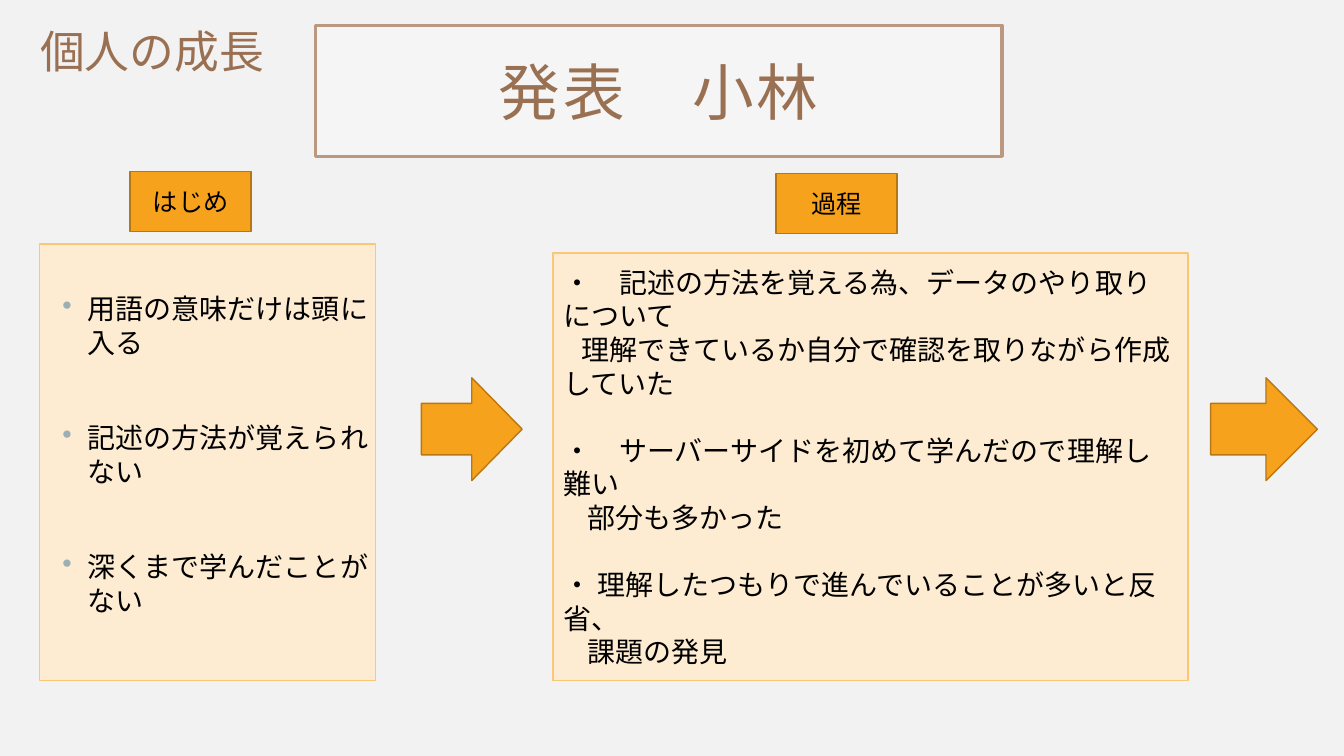
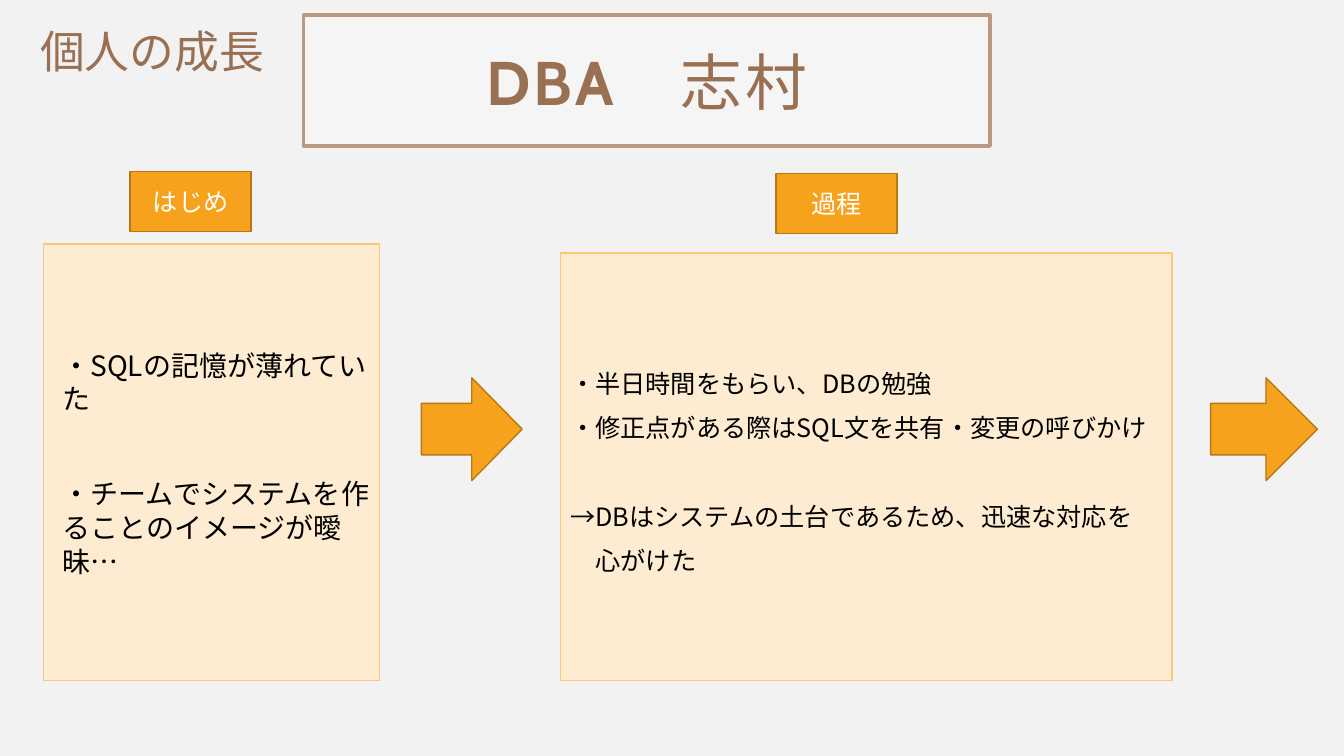
from pptx import Presentation
from pptx.dml.color import RGBColor
from pptx.enum.lang import MSO_LANGUAGE_ID
from pptx.enum.shapes import MSO_SHAPE
from pptx.enum.text import MSO_ANCHOR, MSO_AUTO_SIZE, PP_ALIGN
from pptx.oxml.ns import qn
from pptx.util import Cm, Pt
from lxml.etree import SubElement

PAPER = RGBColor(0xF2, 0xF2, 0xF2)
WHITE = RGBColor(0xFF, 0xFF, 0xFF)
BLACK = RGBColor(0x00, 0x00, 0x00)
BROWN = RGBColor(0x9A, 0x70, 0x53)
FRAME = RGBColor(0xBB, 0x99, 0x81)
CREAM = RGBColor(0xFD, 0xEC, 0xD2)
SAND = RGBColor(0xFA, 0xC7, 0x77)
AMBER = RGBColor(0xF6, 0xA2, 0x1D)
RUST = RGBColor(0xB6, 0x78, 0x15)
DOT = "9BAFB5"
HEAD = "Cabin"
BODY = "Noto Sans CJK JP"
LEAD = 1.2


def add_run(para, text, size, color, face=BODY, bold=False):
    run = para.add_run()
    run.text = text
    font = run.font
    font.name = face
    font.size = Pt(size)
    font.bold = bold
    font.color.rgb = color
    font.language_id = MSO_LANGUAGE_ID.JAPANESE
    props = run._r.get_or_add_rPr()
    east = SubElement(props, qn("a:ea"))
    east.set("typeface", BODY)
    return props


def set_para(para, size, gap=0, indent=0, align=PP_ALIGN.LEFT):
    para.alignment = align
    para.line_spacing = Pt(size * LEAD)
    para.space_before = Pt(gap)
    if indent:
        para._p.get_or_add_pPr().set("indent", str(Cm(indent)))


def add_dot(para):
    props = para._p.get_or_add_pPr()
    props.set("marL", str(Cm(0.64)))
    props.set("indent", str(Cm(-0.64)))
    tint = SubElement(props, qn("a:buClr"))
    SubElement(tint, qn("a:srgbClr")).set("val", DOT)
    SubElement(props, qn("a:buChar")).set("char", "•")


def fill_text(frame, rows, size, color=BLACK, face=BODY, dots=False,
              align=PP_ALIGN.LEFT, anchor=MSO_ANCHOR.MIDDLE):
    frame.word_wrap = True
    frame.vertical_anchor = anchor
    for index, (text, gap, indent) in enumerate(rows):
        para = frame.add_paragraph() if index else frame.paragraphs[0]
        if dots:
            add_dot(para)
        set_para(para, size, gap, indent, align)
        add_run(para, text, size, color, face)


def add_text(slide, area, rows, size, **style):
    box = slide.shapes.add_textbox(*map(Cm, area))
    fill_text(box.text_frame, rows, size, **style)


def add_form(slide, kind, area, fill, line):
    form = slide.shapes.add_shape(kind, *map(Cm, area))
    form.shadow.inherit = False
    form.fill.solid()
    form.fill.fore_color.rgb = fill
    form.line.color.rgb = line
    form.line.width = Pt(1)
    return form


def add_panel(slide, area):
    return add_form(slide, MSO_SHAPE.RECTANGLE, area, CREAM, SAND)


def add_arrow(slide, left, width):
    area = (left, 9.52, width, 2.59)
    add_form(slide, MSO_SHAPE.RIGHT_ARROW, area, AMBER, RUST)


def add_label(slide, left, top, text, color):
    area = (left, top, 3.05, 1.52)
    form = add_form(slide, MSO_SHAPE.RECTANGLE, area, AMBER, RUST)
    fill_text(form.text_frame, [(text, 0, 0)], 18, color,
              align=PP_ALIGN.CENTER)


def set_title(slide, left, top, parts):
    title = slide.shapes.title
    title.left, title.top = Cm(left), Cm(top)
    title.width, title.height = Cm(17.3), Cm(3.3)
    title.fill.solid()
    title.fill.fore_color.rgb = WHITE
    tint = title.fill._xPr.find(qn("a:solidFill"))[0]
    SubElement(tint, qn("a:alpha")).set("val", "30000")
    title.line.color.rgb = FRAME
    title.line.width = Pt(2.5)
    frame = title.text_frame
    frame.auto_size = MSO_AUTO_SIZE.NONE
    frame.word_wrap = True
    frame.vertical_anchor = MSO_ANCHOR.MIDDLE
    para = frame.paragraphs[0]
    set_para(para, 44, align=PP_ALIGN.CENTER)
    for text, bold in parts:
        add_run(para, text, 44, BROWN, HEAD, bold).set("spc", "200")


def add_page(deck, left, top, parts, color):
    slide = deck.slides.add_slide(deck.slide_layouts[5])
    set_title(slide, left, top, parts)
    add_text(slide, (0.76, 0.48, 7.54, 1.78), [("個人の成長", 0, 0)], 32,
             color=BROWN, face=HEAD, anchor=MSO_ANCHOR.TOP)
    add_label(slide, 3.28, 4.32, "はじめ", color)
    add_label(slide, 19.56, 4.37, "過程", color)
    add_arrow(slide, 10.62, 2.54)
    add_arrow(slide, 30.51, 2.69)
    return slide


def add_talk(deck):
    slide = add_page(deck, 7.95, 0.64, [("発表　小林", False)], BLACK)
    add_panel(slide, (0.99, 6.15, 8.48, 11))
    add_text(slide, (1.32, 6.65, 8.48, 9.6), [
        ("用語の意味だけは頭に入る", 0, 0),
        ("記述の方法が覚えられない", 44, 0),
        ("深くまで学んだことがない", 44, 0),
    ], 20, dots=True)
    panel = add_panel(slide, (13.94, 6.38, 16, 10.77))
    fill_text(panel.text_frame, [
        ("・　記述の方法を覚える為、データのやり取りについて", 0, 0),
        ("理解できているか自分で確認を取りながら作成していた", 0, 0.46),
        ("・　サーバーサイドを初めて学んだので理解し難い", 24, 0),
        ("部分も多かった", 0, 0.61),
        ("・ 理解したつもりで進んでいることが多いと反省、", 24, 0),
        ("課題の発見", 0, 0.61),
    ], 20)


def add_data(deck):
    parts = [("DBA", True), ("　志村", False)]
    slide = add_page(deck, 7.65, 0.38, parts, WHITE)
    add_panel(slide, (1.09, 6.15, 8.48, 11))
    add_text(slide, (1.32, 7.04, 8.48, 9.25), [
        ("・SQLの記憶が薄れていた", 0, 0),
        ("・チームでシステムを作ることのイメージが曖昧…", 44, 0),
    ], 20)
    add_panel(slide, (14.12, 6.38, 15.42, 10.77))
    add_text(slide, (14.12, 6.65, 15.44, 10.49), [
        ("・半日時間をもらい、DBの勉強", 0, 0),
        ("・修正点がある際はSQL文を共有・変更の呼びかけ", 10, 0),
        ("→DBはシステムの土台であるため、迅速な対応を", 41.6, 0),
        ("心がけた", 10, 0.64),
    ], 18)


def main():
    deck = Presentation()
    deck.slide_width, deck.slide_height = Cm(33.87), Cm(19.05)
    back = deck.slide_master.background.fill
    back.solid()
    back.fore_color.rgb = PAPER
    add_talk(deck)
    add_data(deck)
    deck.save("out.pptx")


if __name__ == "__main__":
    main()
